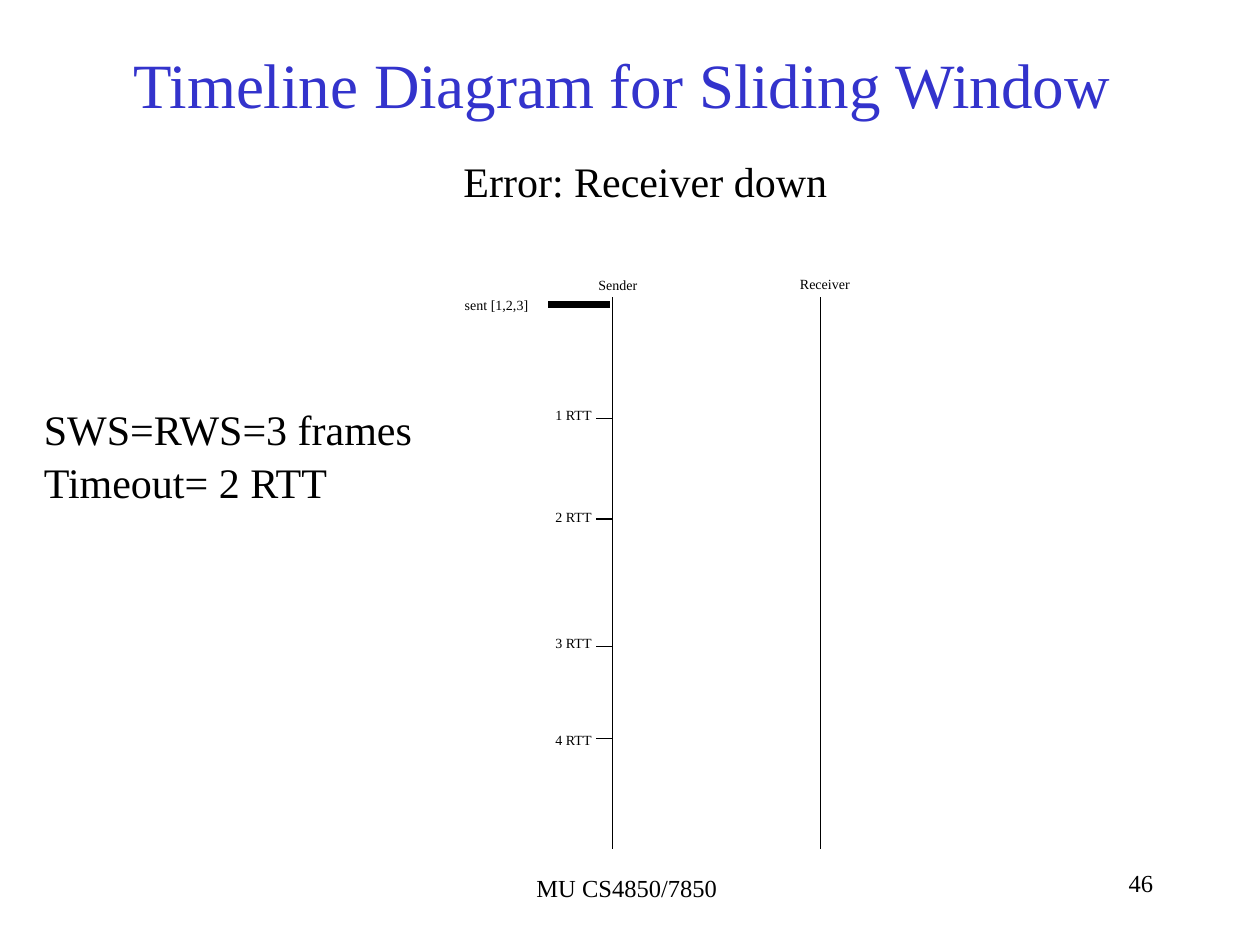
"""Build the sliding window timeline slide for a receiver that is down."""
from lxml import etree
from pptx import Presentation
from pptx import util as u
from pptx.dml.color import RGBColor
from pptx.enum import shapes, text
from pptx.oxml.ns import qn

BLACK = RGBColor(0x00, 0x00, 0x00)
BLUE = RGBColor(0x33, 0x33, 0xCC)
FONT = "Times New Roman"
SENDER_X, RECEIVER_X = 4.86, 6.51
TOP, BOTTOM = 2.36, 6.74

deck = Presentation()
deck.slide_width, deck.slide_height = u.Inches(10), u.Inches(7.5)
page = deck.slides.add_slide(deck.slide_layouts[5])


def write(words, left, top, width, height, size=8, color=BLACK,
          align=text.PP_ALIGN.LEFT, wrap=True, spacing=1.04, box=None):
    place = [u.Inches(value) for value in (left, top, width, height)]
    box = box or page.shapes.add_textbox(*place)
    box.left, box.top, box.width, box.height = place
    frame = box.text_frame
    frame.word_wrap = wrap
    frame.auto_size = text.MSO_AUTO_SIZE.NONE
    frame.text = words
    for para in frame.paragraphs:
        para.alignment = align
        para.line_spacing = spacing
        font = para.runs[0].font
        font.name, font.size, font.color.rgb = FONT, u.Pt(size), color
    return frame


def draw_line(x1, y1, x2, y2, weight=0.74):
    ends = [u.Inches(value) for value in (x1, y1, x2, y2)]
    line = page.shapes.add_connector(shapes.MSO_CONNECTOR.STRAIGHT, *ends)
    line.line.color.rgb = BLACK
    line.line.width = u.Pt(weight)
    etree.SubElement(line._element.spPr, qn("a:effectLst"))


title = write("Timeline Diagram for Sliding Window ", 0.75, 0.04, 8.5, 1.25, size=36,
              color=BLUE, align=text.PP_ALIGN.CENTER, spacing=1.0, box=page.shapes.title)
title.vertical_anchor = text.MSO_ANCHOR.MIDDLE

write("Error: Receiver down", 3.58, 1.17, 3.14, 0.5, size=24)
write("SWS=RWS=3 frames\nTimeout= 2 RTT", 0.25, 3.14, 3.14, 1.3, size=24, wrap=False)

for name, x, left, top, width in (("Sender", SENDER_X, 4.65, 2.14, 0.51),
                                  ("Receiver", RECEIVER_X, 6.25, 2.13, 0.59)):
    draw_line(x, TOP, x, BOTTOM)
    write(name, left, top, width, 0.24, wrap=False)

for count, (label_top, tick_y) in enumerate(
        ((3.17, 3.32), (3.98, 4.12), (4.98, 5.13), (5.75, 5.86)), start=1):
    write(f"{count} RTT", 4.31, label_top, 0.49, 0.24, wrap=False)
    draw_line(SENDER_X, tick_y, SENDER_X - 0.13, tick_y)

write("sent [1,2,3]", 3.59, 2.3, 0.97, 0.24)
draw_line(4.35, 2.42, 4.84, 2.42, weight=4)

write("MU CS4850/7850", 3.39, 6.87, 3.17, 0.5, size=14, align=text.PP_ALIGN.CENTER)
write("46", 7.17, 6.83, 2.08, 0.5, size=14, align=text.PP_ALIGN.RIGHT)

deck.save("out.pptx")
